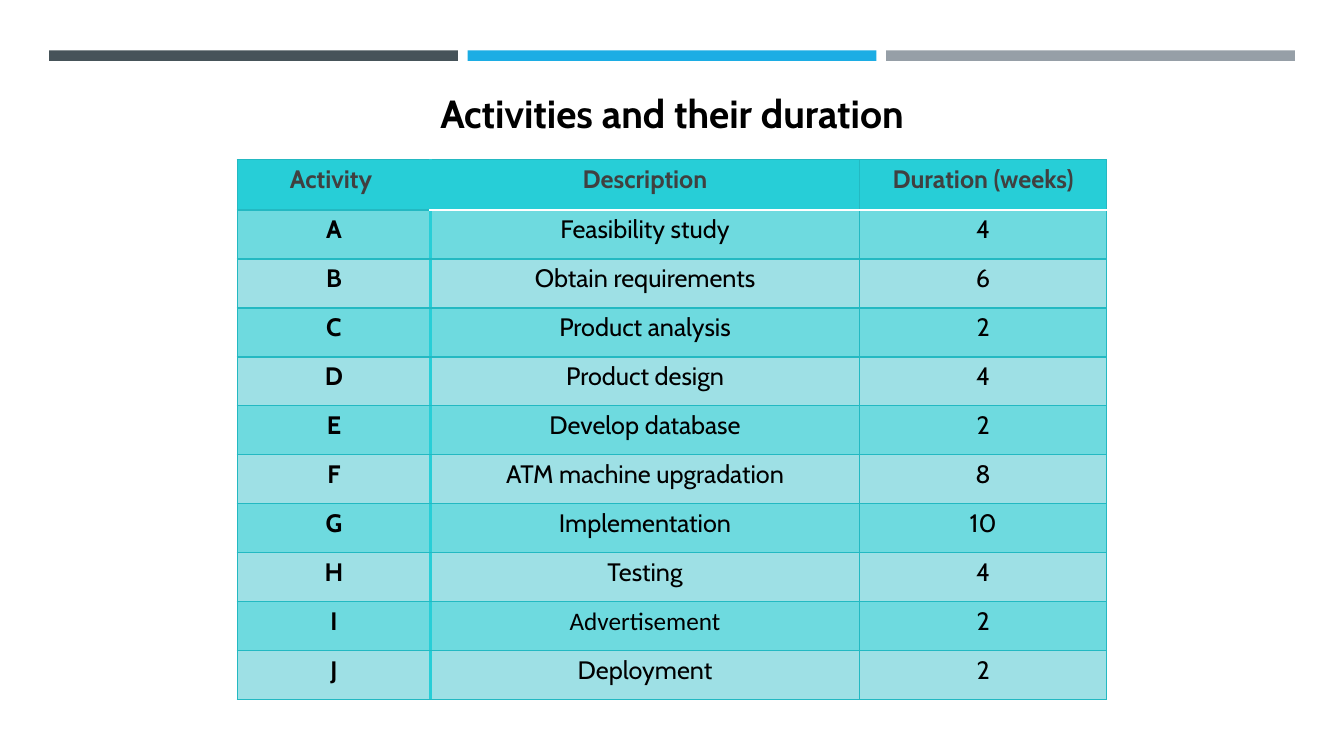
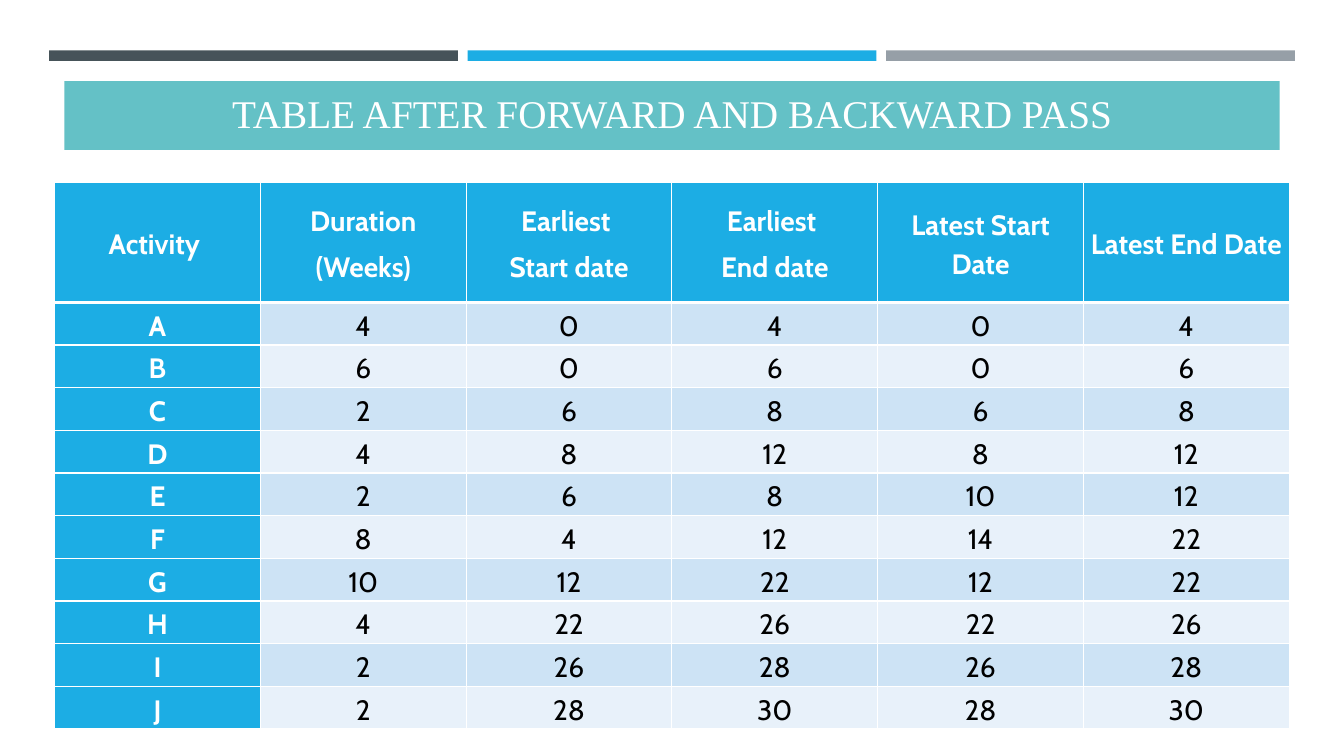
import dataclasses

import pptx
import pptx.dml.color
import pptx.enum.shapes
import pptx.enum.text
import pptx.oxml
import pptx.oxml.ns
import pptx.util

Pt = pptx.util.Pt
ALIGN = pptx.enum.text.PP_ALIGN
ANCHOR = pptx.enum.text.MSO_ANCHOR


# Colours, fonts and type sizes
@dataclasses.dataclass(frozen=True)
class Theme:
    slate: str = "465359"
    blue: str = "1CADE4"
    gray: str = "969FA7"
    black: str = "000000"
    white: str = "FFFFFF"
    dark: str = "404040"
    aqua: str = "27CED7"
    teal: str = "23B9C2"
    deep: str = "6EDADF"
    pale: str = "9EE0E5"
    band: str = "64C1C6"
    sky: str = "CDE3F5"
    mist: str = "E8F1FA"
    sans: str = "Cabin"
    plain: str = "Calibri"
    serif: str = "Times New Roman"
    title: int = 28
    large: int = 20
    small: int = 18


THEME = Theme()


# How one table is coloured, ruled and set
@dataclasses.dataclass(frozen=True)
class Look:
    head: str
    bands: tuple
    keys: tuple  # fills of the first column, by band
    ink: str     # header text
    key: str     # first column text
    size: int
    inset: float
    anchor: object
    line: tuple  # colour and width of the grid
    rule: tuple  # line below the header
    side: tuple  # line right of the first column


AQUA = Look(THEME.aqua, (THEME.deep, THEME.pale), (THEME.deep, THEME.pale),
            THEME.dark, THEME.black, THEME.small, 4.5, ANCHOR.TOP,
            (THEME.teal, 1), (THEME.white, 1.75), (THEME.aqua, 1.75))
BLUE = Look(THEME.blue, (THEME.sky, THEME.mist), (THEME.blue, THEME.blue),
            THEME.white, THEME.white, THEME.large, 3.6, ANCHOR.MIDDLE,
            (THEME.white, 1), (THEME.white, 3), (THEME.white, 1))


def rgb(code):
    return pptx.dml.color.RGBColor.from_string(code)


def border(cell, side, line):
    color, width = line
    cell._tc.get_or_add_tcPr().append(pptx.oxml.parse_xml(
        f'<a:ln{side} {pptx.oxml.ns.nsdecls("a")} w="{int(Pt(width))}">'
        f'<a:solidFill><a:srgbClr val="{color}"/></a:solidFill></a:ln{side}>'))


class Deck:
    def __init__(self, theme):
        self.theme = theme
        self.file = pptx.Presentation()
        self.file.slide_width = Pt(960)
        self.file.slide_height = Pt(540)
        self.slide = None

    def page(self):
        """Start a slide with the three bars along its top."""
        self.slide = self.file.slides.add_slide(self.file.slide_layouts[5])
        colors = (self.theme.slate, self.theme.blue, self.theme.gray)
        for i, color in enumerate(colors):
            bar = self.slide.shapes.add_shape(
                pptx.enum.shapes.MSO_SHAPE.RECTANGLE,
                Pt(35 + 299 * i), Pt(36), Pt(292), Pt(7.5))
            bar.shadow.inherit = False
            bar.fill.solid()
            bar.fill.fore_color.rgb = rgb(color)
            bar.line.fill.background()

    def label(self, frame, text, font, size, color, bold):
        """Set centred text in one style."""
        frame.text = text
        for para in frame.paragraphs:
            para.alignment = ALIGN.CENTER
            for run in para.runs:
                run.font.name = font
                run.font.size = Pt(size)
                run.font.bold = bold
                run.font.color.rgb = rgb(color)

    def title(self, text, box, font, color, bold=False, fill=None, space=1.0):
        shape = self.slide.shapes.title
        shape.left, shape.top, shape.width, shape.height = map(Pt, box)
        if fill:
            shape.fill.solid()
            shape.fill.fore_color.rgb = rgb(fill)
        frame = shape.text_frame
        frame.auto_size = pptx.enum.text.MSO_AUTO_SIZE.NONE
        frame.vertical_anchor = ANCHOR.MIDDLE
        self.label(frame, text, font, self.theme.title, color, bold)
        frame.paragraphs[0].line_spacing = space

    def table(self, look, left, top, cols, head, high, rows):
        """Draw a table; head and high are the two row heights."""
        grid = self.slide.shapes.add_table(
            len(rows), len(cols), Pt(left), Pt(top), Pt(sum(cols)),
            Pt(head + high * (len(rows) - 1))).table
        grid.first_row = grid.horz_banding = False
        for col, width in zip(grid.columns, cols):
            col.width = Pt(width)
        for r, row in enumerate(rows):
            grid.rows[r].height = Pt(high if r else head)
            for c, text in enumerate(row):
                self.cell(grid.cell(r, c), look, r, c, str(text))
        return grid

    def cell(self, cell, look, r, c, text):
        # Lines, then fill
        rule = look.line if look is AQUA and c == 0 else look.rule
        border(cell, "L", look.side if c == 1 else look.line)
        border(cell, "R", look.side if c == 0 else look.line)
        border(cell, "T", rule if r == 1 else look.line)
        border(cell, "B", rule if r == 0 else look.line)
        fills = look.bands if c else look.keys
        cell.fill.solid()
        cell.fill.fore_color.rgb = rgb(fills[(r - 1) % 2] if r else look.head)
        # Text
        cell.margin_left = cell.margin_right = Pt(look.inset)
        cell.margin_top = cell.margin_bottom = 0
        cell.vertical_anchor = look.anchor
        color = look.ink if r == 0 else self.theme.black if c else look.key
        self.label(cell.text_frame, text, self.theme.sans, look.size, color,
                   r == 0 or c == 0)
        for i, para in enumerate(cell.text_frame.paragraphs):
            para.line_spacing = 1.15
            if i:
                para.space_before = Pt(5)


# Activity, description, weeks, earliest start and end, latest start and end
TASKS = [
    ("A", "Feasibility study", 4, 0, 4, 0, 4),
    ("B", "Obtain requirements", 6, 0, 6, 0, 6),
    ("C", "Product analysis", 2, 6, 8, 6, 8),
    ("D", "Product design", 4, 8, 12, 8, 12),
    ("E", "Develop database", 2, 6, 8, 10, 12),
    ("F", "ATM machine upgradation", 8, 4, 12, 14, 22),
    ("G", "Implementation", 10, 12, 22, 12, 22),
    ("H", "Testing", 4, 22, 26, 22, 26),
    ("I", "Advertisement", 2, 26, 28, 26, 28),
    ("J", "Deployment", 2, 28, 30, 28, 30),
]


def main():
    deck = Deck(THEME)

    # Activities and weeks
    deck.page()
    deck.title("Activities and their duration", (120, 60, 720, 41),
               THEME.sans, THEME.black, bold=True)
    heads = ("Activity ", "Description", "Duration (weeks)")
    grid = deck.table(AQUA, 169.5, 114, (138, 306.5, 176.5), 36, 35,
                      [heads] + [task[:3] for task in TASKS])
    odd = grid.cell(9, 1).text_frame.paragraphs[0].runs[0]
    odd.font.name = THEME.plain

    # Dates after both passes
    deck.page()
    deck.title("TABLE AFTER FORWARD AND BACKWARD PASS", (46, 58, 868, 49),
               THEME.serif, THEME.white, fill=THEME.band, space=0.9)
    heads = ("Activity ", "Duration\n(Weeks)", "Earliest \nStart date",
             "Earliest \nEnd date", "Latest Start Date", "Latest End Date")
    deck.table(BLUE, 39, 130, (147,) * 6, 86, 30.5,
               [heads] + [task[:1] + task[2:] for task in TASKS])

    deck.file.save("out.pptx")


if __name__ == "__main__":
    main()
